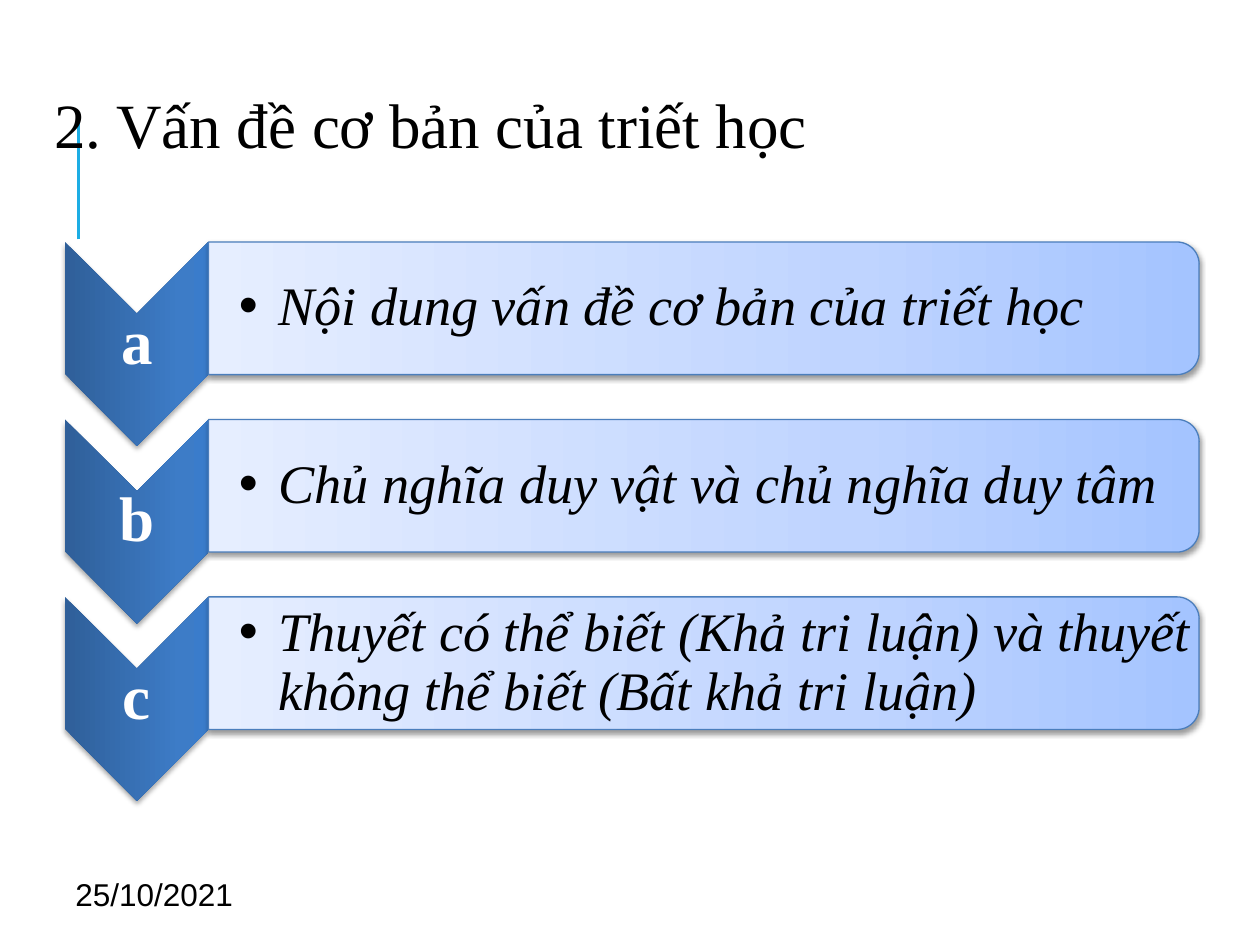
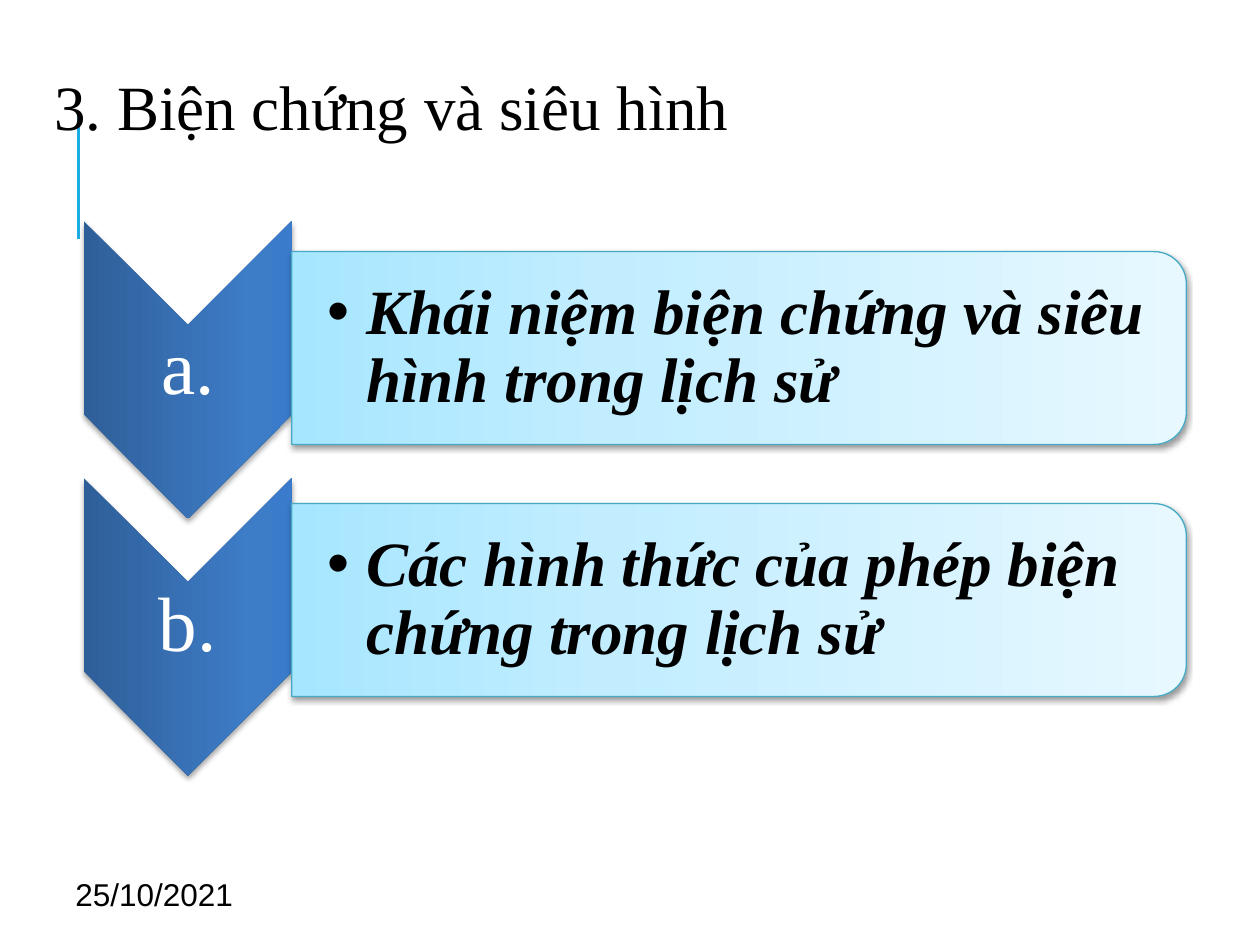
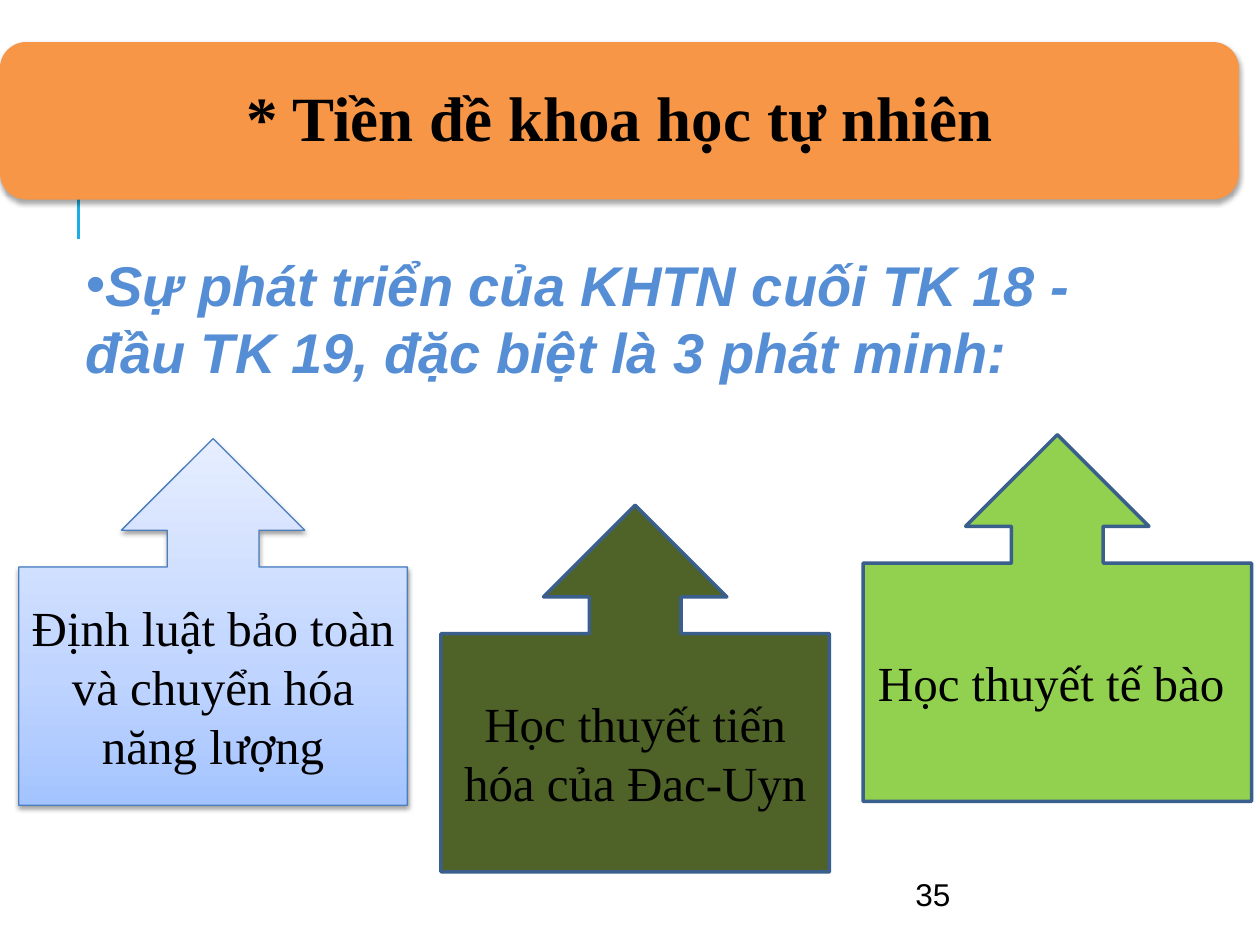
from dataclasses import dataclass
from typing import NamedTuple, Optional, Union

from lxml import etree
from pptx import Presentation
from pptx.dml.color import RGBColor
from pptx.enum import shapes, text
from pptx.oxml.ns import qn
from pptx.util import Pt

COLORS = {
    "ink": "000000",
    "white": "FFFFFF",
    "accent": "1CADE4",
    "orange": "F79646",
    "lead": "558ED5",
    "olive": "4F6228",
    "lime": "92D050",
    "navy_edge": "3A5F8C",
    "blue_edge": "4B7EBC",
    "aqua_edge": "46AAC5",
}
SERIF, SANS = "Times New Roman", "Arial"
SHAPE = shapes.MSO_SHAPE
CENTER = text.PP_ALIGN.CENTER
DATE = "25/10/2021"
CORNER_INSET = 0.05  # text inset inside a rounded corner, as a share of the height


class Box(NamedTuple):
    left: float
    top: float
    width: float
    height: float


class Gradient(NamedTuple):
    stops: tuple[tuple[int, str], ...]
    angle: int


class Edge(NamedTuple):
    color: str
    width: float


class Shadow(NamedTuple):
    alpha: int
    distance: float


PALE_BLUE = ((0, "A4C4FF"), (35, "BFD4FF"), (100, "E6EEFF"))
PALE_AQUA = ((0, "A7E6FF"), (35, "C1EDFF"), (100, "E7F8FF"))
CHEVRON_FILL = Gradient(((0, "2F5F99"), (80, "3D7CC7"), (100, "3A7CCB")), 270)
STRONG_SHADOW, SOFT_SHADOW = Shadow(35, 1.8), Shadow(38, 1.6)
BLUE_EDGE, NAVY_EDGE = Edge("blue_edge", 0.75), Edge("navy_edge", 2)


@dataclass(frozen=True)
class ChevronList:
    """Measures and formats of a column of chevrons, each with a card at its right."""
    rows: tuple[tuple[str, str], ...]
    chevron: Box
    chevron_pitch: float
    card_top: float
    card_width: float
    card_height: float
    card_pitch: float
    card_fill: Gradient
    card_edge: Edge
    label_size: float
    label_bold: bool
    card_size: float
    card_bold: bool
    card_margins: tuple[float, float, float, float]


@dataclass(frozen=True)
class Callout:
    words: str
    column: int
    top: float
    fill: Union[str, Gradient]
    edge: Edge
    shadow: Optional[Shadow] = None


BASIC_QUESTION = ChevronList(
    rows=(
        ("a", "Nội dung vấn đề cơ bản của triết học"),
        ("b", "Chủ nghĩa duy vật và chủ nghĩa duy tâm"),
        ("c", "Thuyết có thể biết (Khả tri luận) và thuyết không thể biết (Bất khả tri luận)"),
    ),
    chevron=Box(37.2, 138.3, 82, 116.6), chevron_pitch=101.4,
    card_top=138.3, card_width=566, card_height=75.8, card_pitch=101.4,
    card_fill=Gradient(PALE_BLUE, 90), card_edge=BLUE_EDGE,
    label_size=36, label_bold=True, card_size=31, card_bold=False,
    card_margins=(17.3, 1.4, 1.4, 1.4),
)
DIALECTICS = ChevronList(
    rows=(
        ("a.", "Khái niệm biện chứng và siêu hình trong lịch sử"),
        ("b.", "Các hình thức của phép biện chứng trong lịch sử"),
    ),
    chevron=Box(47.9, 126.4, 118.8, 169.9), chevron_pitch=146.9,
    card_top=143.8, card_width=511.2, card_height=110.2, card_pitch=144,
    card_fill=Gradient(PALE_AQUA, 270), card_edge=Edge("aqua_edge", 0.75),
    label_size=44, label_bold=False, card_size=36, card_bold=True,
    card_margins=(20.2, 2, 2, 2),
)
DISCOVERIES = (
    Callout("Học thuyết tiến hóa của Đac-Uyn", 1, 288.7, "olive", NAVY_EDGE),
    Callout("Định luật bảo toàn và chuyển hóa năng lượng", 0, 250.6,
            Gradient(PALE_BLUE, 270), BLUE_EDGE, SOFT_SHADOW),
    Callout("Học thuyết tế bào ", 2, 248.4, "lime", NAVY_EDGE),
)


def rgb(name: str) -> RGBColor:
    return RGBColor.from_string(COLORS[name])


def points(box: Box) -> list[Pt]:
    return [Pt(length) for length in box]


def paint_gradient(shape, gradient: Gradient) -> None:
    shape.fill.gradient()
    grad = shape.fill._xPr.find(qn("a:gradFill"))
    for child in list(grad):
        grad.remove(child)
    stops = etree.SubElement(grad, qn("a:gsLst"))
    for position, color in gradient.stops:
        stop = etree.SubElement(stops, qn("a:gs"), pos=str(position * 1000))
        etree.SubElement(stop, qn("a:srgbClr"), val=color)
    etree.SubElement(grad, qn("a:lin"), ang=str(gradient.angle * 60000), scaled="0")


def cast_shadow(shape, shadow: Shadow) -> None:
    effects = shape._element.spPr.find(qn("a:effectLst"))
    outer = etree.SubElement(
        effects, qn("a:outerShdw"), blurRad=str(int(Pt(3.1))),
        dist=str(int(Pt(shadow.distance))), dir="5400000", rotWithShape="0")
    color = etree.SubElement(outer, qn("a:srgbClr"), val=COLORS["ink"])
    etree.SubElement(color, qn("a:alpha"), val=str(shadow.alpha * 1000))


def write(frame, words: str, *, size: float, font: str = SERIF, color: str = "ink",
          bold: bool = False, italic: bool = False, align=text.PP_ALIGN.LEFT,
          anchor=text.MSO_ANCHOR.MIDDLE, spacing: float = 1.0,
          margins: tuple[float, float, float, float] = (7.2, 3.6, 7.2, 3.6),
          bullet: bool = False, hanging: float = 0) -> None:
    """Fill a text frame; margins run left, top, right, bottom."""
    frame.word_wrap = True
    frame.vertical_anchor = anchor
    (frame.margin_left, frame.margin_top,
     frame.margin_right, frame.margin_bottom) = (Pt(margin) for margin in margins)
    paragraph = frame.paragraphs[0]
    paragraph.alignment = align
    paragraph.line_spacing = spacing
    if bullet:
        properties = paragraph._p.get_or_add_pPr()
        properties.set("marL", str(int(Pt(hanging))))
        properties.set("indent", str(int(Pt(-hanging))))
        etree.SubElement(properties, qn("a:buFont"), typeface=SANS)
        etree.SubElement(properties, qn("a:buChar"), char="•")
    run = paragraph.add_run()
    run.text = words
    run.font.name, run.font.size = font, Pt(size)
    run.font.bold, run.font.italic = bold, italic
    run.font.color.rgb = rgb(color)


def add_text(slide, box: Box, words: str, **style) -> None:
    write(slide.shapes.add_textbox(*points(box)).text_frame, words, **style)


def add_figure(slide, kind, box: Box, fill: Union[str, Gradient],
               edge: Optional[Edge] = None, shadow: Optional[Shadow] = None):
    figure = slide.shapes.add_shape(kind, *points(box))
    if isinstance(fill, Gradient):
        paint_gradient(figure, fill)
    else:
        figure.fill.solid()
        figure.fill.fore_color.rgb = rgb(fill)
    if edge:
        figure.line.color.rgb = rgb(edge.color)
        figure.line.width = Pt(edge.width)
    else:
        figure.line.fill.background()
    figure.shadow.inherit = False
    if shadow:
        cast_shadow(figure, shadow)
    return figure


def add_turned(slide, kind, box: Box, *look) -> None:
    """Draw a shape turned a quarter clockwise so that it covers the box."""
    shift = (box.width - box.height) / 2
    upright = Box(box.left + shift, box.top - shift, box.height, box.width)
    add_figure(slide, kind, upright, *look).rotation = 90


def add_chevron_list(slide, plan: ChevronList) -> None:
    first = plan.chevron
    inset = CORNER_INSET * plan.card_height
    for row, (label, topic) in enumerate(plan.rows):
        chevron = first._replace(top=first.top + row * plan.chevron_pitch)
        card = Box(first.left + first.width, plan.card_top + row * plan.card_pitch,
                   plan.card_width, plan.card_height)
        add_turned(slide, SHAPE.CHEVRON, chevron, CHEVRON_FILL, None, STRONG_SHADOW)
        add_text(slide, Box(chevron.left, chevron.top + chevron.width / 2,
                            chevron.width, chevron.height - chevron.width),
                 label, size=plan.label_size, color="white", bold=plan.label_bold,
                 align=CENTER, spacing=0.9, margins=(2, 2, 2, 2))
        add_turned(slide, SHAPE.ROUND_2_SAME_RECTANGLE, card,
                   plan.card_fill, plan.card_edge, SOFT_SHADOW)
        add_text(slide, Box(card.left, card.top + inset,
                            card.width - inset, card.height - 2 * inset),
                 topic, size=plan.card_size, bold=plan.card_bold, italic=True,
                 spacing=0.9, margins=plan.card_margins, bullet=True, hanging=22.5)


def add_base_slide(deck):
    """Add a blank slide with the short accent line that all slides carry."""
    slide = deck.slides.add_slide(deck.slide_layouts[6])
    accent = slide.shapes.add_connector(
        shapes.MSO_CONNECTOR.STRAIGHT, Pt(45), Pt(136.8), Pt(45), Pt(64.8))
    accent.line.color.rgb = rgb("accent")
    accent.line.width = Pt(1.5)
    etree.SubElement(accent._element.spPr, qn("a:effectLst"))
    return slide


def add_footer(slide, left: float, words: str) -> None:
    add_text(slide, Box(left, 492, 168, 37.5), words, size=18, font=SANS)


def add_list_slide(deck, title: str, title_box: Box, plan: ChevronList) -> None:
    slide = add_base_slide(deck)
    add_text(slide, title_box, title, size=36, spacing=0.9)
    add_footer(slide, 36, DATE)
    add_chevron_list(slide, plan)


def add_discoveries_slide(deck) -> None:
    slide = add_base_slide(deck)
    banner = add_figure(slide, SHAPE.ROUNDED_RECTANGLE, Box(0, 24, 708, 90),
                        "orange", None, STRONG_SHADOW)
    write(banner.text_frame, "* Tiền đề khoa học tự nhiên", size=36, bold=True,
          align=CENTER, spacing=0.9, margins=(10.8, 10.8, 10.8, 10.8))
    add_footer(slide, 516, "35")
    add_text(slide, Box(42, 139.7, 642, 85),
             "Sự phát triển của KHTN cuối TK 18 - đầu TK 19, đặc biệt là 3 phát minh:",
             size=32, font=SANS, color="lead", bold=True, italic=True,
             anchor=text.MSO_ANCHOR.TOP, bullet=True)
    for item in DISCOVERIES:
        box = Box(10.8 + item.column * 241.2, item.top, 222, 209.5)
        callout = add_figure(slide, SHAPE.UP_ARROW_CALLOUT, box,
                             item.fill, item.edge, item.shadow)
        write(callout.text_frame, item.words, size=28, align=CENTER)


def main() -> None:
    deck = Presentation()
    deck.slide_width, deck.slide_height = Pt(720), Pt(540)
    add_list_slide(deck, "2. Vấn đề cơ bản của triết học",
                   Box(24, 24, 708, 98.6), BASIC_QUESTION)
    add_list_slide(deck, "3. Biện chứng và siêu hình",
                   Box(24, 24, 720, 77.8), DIALECTICS)
    add_discoveries_slide(deck)
    deck.save("out.pptx")


if __name__ == "__main__":
    main()
